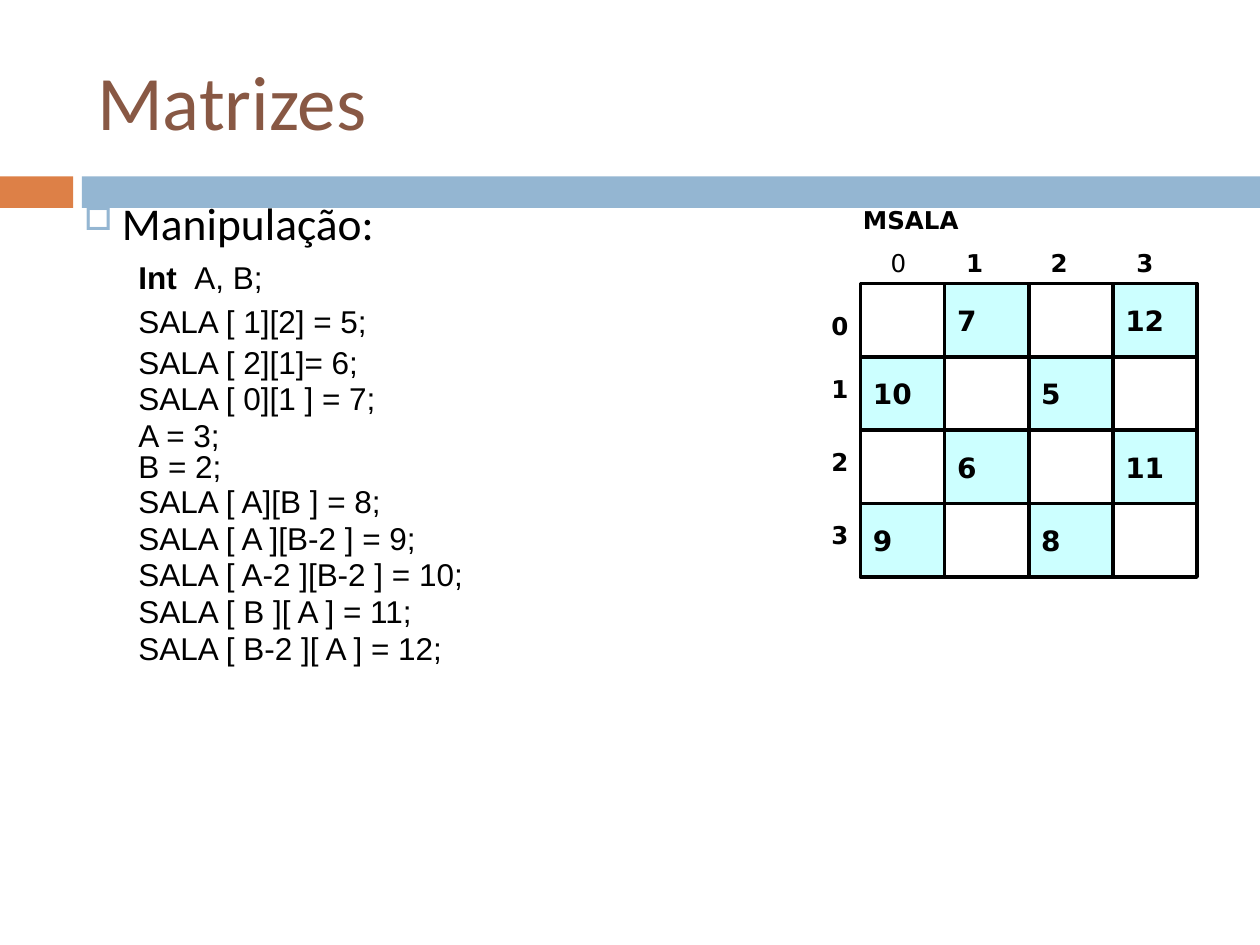
import pptx
import pptx.dml.color
import pptx.enum.shapes
import pptx.enum.text
import pptx.oxml
import pptx.oxml.ns
import pptx.util

Inches = pptx.util.Inches
Pt = pptx.util.Pt
ANCHOR = pptx.enum.text.MSO_ANCHOR
LEFT = pptx.enum.text.PP_ALIGN.LEFT
RECTANGLE = pptx.enum.shapes.MSO_SHAPE.RECTANGLE
BLACK = "000000"


def color(value):
    return pptx.dml.color.RGBColor.from_string(value)


def format_para(para, font, size, bold=False, ink=BLACK):
    para.alignment = LEFT
    for span in para.runs:
        span.font.name = font
        span.font.size = Pt(size)
        span.font.bold = bold
        span.font.color.rgb = color(ink)


def add_text(page, left, top, width, height, text, font, size, bold=False):
    box = page.shapes.add_textbox(Inches(left), Inches(top), Inches(width), Inches(height))
    box.text_frame.word_wrap = True
    box.text_frame.text = text
    for para in box.text_frame.paragraphs:
        format_para(para, font, size, bold)
    return box


def add_rectangle(page, left, top, width, height, fill, line=None):
    box = page.shapes.add_shape(
        RECTANGLE, Inches(left), Inches(top), Inches(width), Inches(height)
    )
    box.shadow.inherit = False
    box.fill.solid()
    box.fill.fore_color.rgb = color(fill)
    if line:
        box.line.color.rgb = color(line)
        box.line.width = Pt(2)
    else:
        box.line.fill.background()
    return box


def add_property(para, name, **attributes):
    element = pptx.oxml.parse_xml(f"<a:{name} {pptx.oxml.ns.nsdecls('a')}/>")
    for key, value in attributes.items():
        element.set(key, str(value))
    para._p.get_or_add_pPr().append(element)
    return element


def add_header(page, left, top, width):
    add_rectangle(page, left, top + 1.4, 0.58, 0.25, "DD8047")
    add_rectangle(page, left + 0.65, top + 1.4, width - 0.65, 0.25, "94B6D2")
    title = page.shapes.title
    title.left, title.top = Inches(left + 0.67), Inches(top + 0.25)
    title.width, title.height = Inches(8.92), Inches(1.08)
    title.text_frame.text = "Matrizes"
    title.text_frame.vertical_anchor = ANCHOR.MIDDLE
    format_para(title.text_frame.paragraphs[0], "Calibri", 44, ink="885844")


def add_topic(page, left, top, width, height):
    box = add_text(page, left, top, width, height, "Manipulação:", "Calibri", 26)
    para = box.text_frame.paragraphs[0]
    para.space_before = Pt(5.5)
    properties = para._p.get_or_add_pPr()
    properties.set("marL", str(Inches(0.7)))
    properties.set("indent", str(Inches(-0.3)))
    bullet_color = add_property(para, "buClr")
    tint = pptx.oxml.parse_xml(f"<a:srgbClr {pptx.oxml.ns.nsdecls('a')} val='94B6D2'/>")
    bullet_color.append(tint)
    add_property(para, "buSzPct", val=70000)
    add_property(para, "buChar", char="□")


def add_code(page, left, top, width):
    opening = add_text(
        page, left, top, width, 0.76, "Int  A, B;\nSALA [ 1][2] = 5;", "Arial", 18
    )
    declaration, assignment = opening.text_frame.paragraphs
    declaration.text = "Int  "
    declaration.add_run().text = "A, B;"
    format_para(declaration, "Arial", 18)
    declaration.runs[0].font.bold = True
    assignment.space_before = Pt(3.6)
    groups = [
        (0.67, ["SALA [ 2][1]= 6;", "SALA [ 0][1 ] = 7;", "A = 3;"]),
        (1.5, ["B = 2;"]),
        (1.78, [
            "SALA [ A][B ] = 8;",
            "SALA [ A ][B-2 ] = 9;",
            "SALA [ A-2 ][B-2 ] = 10;",
            "SALA [ B ][ A ] = 11;",
            "SALA [ B-2 ][ A ] = 12;",
        ]),
    ]
    for offset, lines in groups:
        for index, line in enumerate(lines):
            add_text(page, left, top + offset + index * 0.29, width, 0.4, line, "Arial", 18)


def add_matrix(page, left, top, width, height):
    font = "DejaVu Sans"
    values = [
        ["", "7", "", "12"],
        ["10", "", "5", ""],
        ["", "6", "", "11"],
        ["9", "", "8", ""],
    ]
    cell_width, cell_height = width / 4, height / 4
    add_text(page, left - 0.08, top - 0.67, 1.25, 0.33, "MSALA", font, 14, True)

    heading = add_text(
        page, left - 0.16, top - 0.33, 2.83, 0.33, "\t0", font, 14
    ).text_frame.paragraphs[0]
    heading.add_run().text = "\t1\t2\t3"
    format_para(heading, font, 14, True)
    heading.runs[0].font.bold = False
    tabs = add_property(heading, "tabLst")
    for stop in (0.3, 0.9, 1.57, 2.25):
        tab = pptx.oxml.parse_xml(f"<a:tab {pptx.oxml.ns.nsdecls('a')} algn='l'/>")
        tab.set("pos", str(Inches(stop)))
        tabs.append(tab)

    for row, offset in enumerate((0.17, 0.67, 1.25, 1.83)):
        add_text(page, left - 0.33, top + offset, 0.33, 0.33, str(row), font, 14, True)
        for column, value in enumerate(values[row]):
            cell = add_rectangle(
                page, left + column * cell_width, top + row * cell_height,
                cell_width, cell_height, "CCFFFF" if value else "FFFFFF", BLACK,
            )
            if value:
                cell.text_frame.text = value
                cell.text_frame.vertical_anchor = ANCHOR.MIDDLE
                format_para(cell.text_frame.paragraphs[0], font, 16, True)


deck = pptx.Presentation()
deck.slide_width, deck.slide_height = Inches(10), Inches(7.5)
page = deck.slides.add_slide(deck.slide_layouts[5])
page.background.fill.solid()
page.background.fill.fore_color.rgb = color("FFFFFF")
add_header(page, 0, 0, 10)
add_topic(page, 0.17, 1.5, 9.67, 0.55)
add_code(page, 1, 2, 5.7)
add_matrix(page, 6.83, 2.25, 2.67, 2.33)
deck.save("out.pptx")
